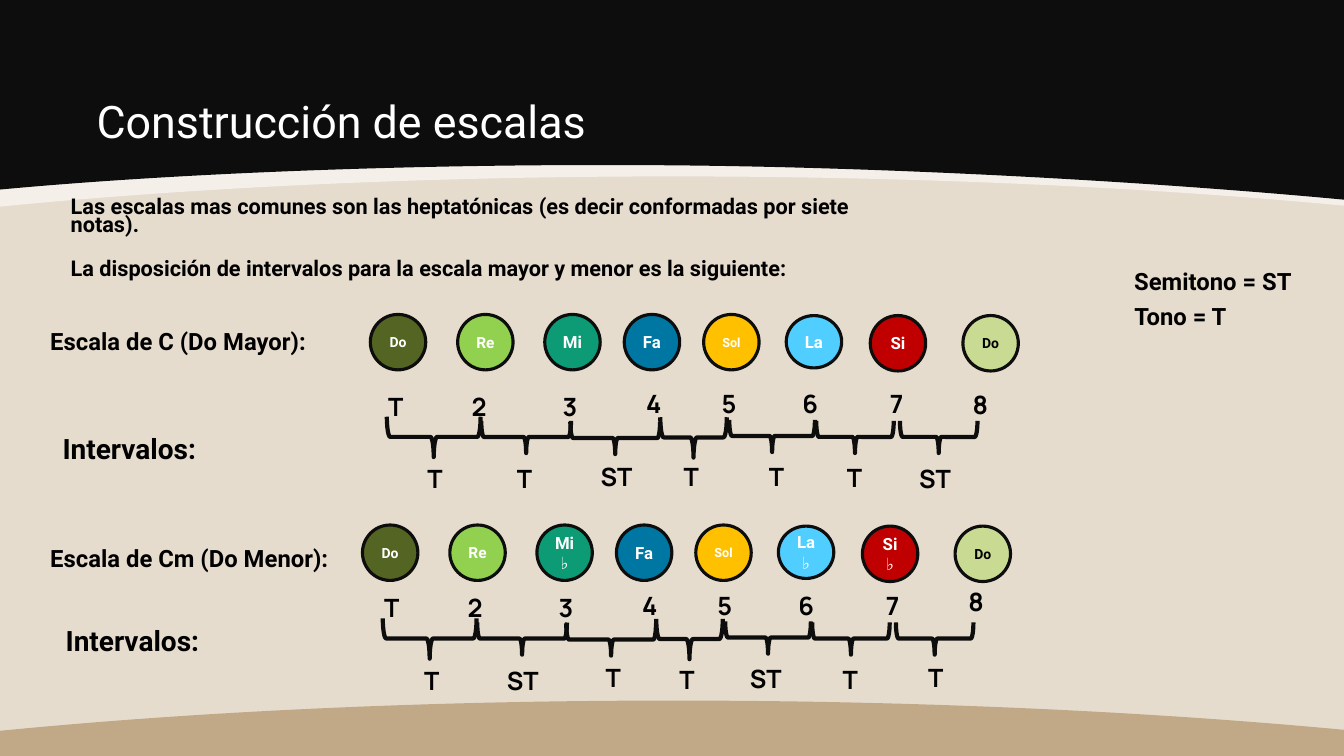
from pptx import Presentation
from pptx import util as u
from pptx.dml.color import RGBColor
from pptx.enum import shapes, text
from pptx.oxml.ns import qn
from lxml import etree

Pt = u.Pt
BLACK = RGBColor(0x00, 0x00, 0x00)
WHITE = RGBColor(0xFF, 0xFF, 0xFF)
INK = RGBColor(0x0D, 0x0D, 0x0D)
SAND = RGBColor(0xE6, 0xDC, 0xCE)
CREAM = RGBColor(0xFA, 0xF8, 0xF5)
TAN = RGBColor(0xC1, 0xA8, 0x86)
OLIVE = RGBColor(0x54, 0x64, 0x22)
LIME = RGBColor(0x92, 0xD0, 0x50)
TEAL = RGBColor(0x0C, 0x9B, 0x74)
BLUE = RGBColor(0x00, 0x76, 0xA3)
AMBER = RGBColor(0xFF, 0xC0, 0x00)
SKY = RGBColor(0x4F, 0xCE, 0xFF)
RED = RGBColor(0xC0, 0x00, 0x00)
PALE = RGBColor(0xC9, 0xDA, 0x92)

prs = Presentation()
prs.slide_width, prs.slide_height = Pt(960), Pt(540)
s = prs.slides.add_slide(prs.slide_layouts[6])
s.background.fill.solid()
s.background.fill.fore_color.rgb = SAND


def write(p, words, size, color=BLACK, font="Roboto", bold=True):
    r = p.add_run()
    r.text = words
    r.font.size, r.font.name, r.font.bold = Pt(size), font, bold
    r.font.color.rgb = color


def add_text(x, y, w, h, lines, size, spacing=None, before=None, **style):
    tf = s.shapes.add_textbox(Pt(x), Pt(y), Pt(w), Pt(h)).text_frame
    tf.word_wrap = True
    for i, words in enumerate(lines):
        p = tf.paragraphs[0] if i == 0 else tf.add_paragraph()
        p.line_spacing = spacing
        if before:
            p.space_before = Pt(before)
        write(p, words, size, **style)
    return tf


bands = [
    (CREAM, 70, 0, [(0, 147.6), (139.7, 133.9), (304.6, 126), (481, 126),
                    (656.6, 126), (820.8, 133.9), (960, 146.9)]),
    (INK, 100, 0, [(0, 135.4), (139.7, 122.4), (320.4, 116.6), (481, 118.1),
                   (640.1, 119.5), (820.8, 129.6), (960, 142.6)]),
    (TAN, 100, 540, [(0, 522), (139.7, 508.3), (304.6, 500.4), (481, 500.4),
                     (656.6, 500.4), (820.8, 508.3), (960, 521.3)]),
]
for color, opacity, edge, curve in bands:
    points = [(Pt(x), Pt(y)) for x, y in curve + [(960, edge), (0, edge)]]
    fb = s.shapes.build_freeform(*points[0], scale=1.0)
    fb.add_line_segments(points[1:])
    sp = fb.convert_to_shape()
    lines = list(sp._element.iter(qn("a:lnTo")))
    for first in (0, 3):
        bezier = etree.Element(qn("a:cubicBezTo"))
        lines[first].addprevious(bezier)
        for line in lines[first:first + 3]:
            bezier.append(line[0])
            line.getparent().remove(line)
    sp.shadow.inherit = False
    sp.line.fill.background()
    sp.fill.solid()
    sp.fill.fore_color.rgb = color
    if opacity < 100:
        clr = sp.fill._xPr.find(qn("a:solidFill"))[0]
        etree.SubElement(clr, qn("a:alpha")).set("val", str(opacity * 1000))

tf = add_text(61.92, 23.04, 720, 86.4, ["Construcción de escalas"], 32, 0.9,
              color=WHITE, bold=False)
tf.vertical_anchor = text.MSO_ANCHOR.BOTTOM

add_text(43.4, 139.4, 577.4, 66.2, [
    "Las escalas mas comunes son las heptatónicas (es decir conformadas por siete notas).",
    "La disposición de intervalos para la escala mayor y menor es la siguiente:",
], 15.5, 0.7, 18)

captions = [
    ("Escala de C (Do Mayor):", 28.8, 234, 218.9, 17, 0.8),
    ("Escala de Cm (Do Menor):", 28.8, 388.8, 218.9, 17, 0.8),
    ("Semitono = ST", 803.1, 190.8, 141.8, 17, 0.8),
    ("Tono = T", 803.1, 216, 85, 17, 0.8),
    ("Intervalos:", 37.6, 307.4, 184.3, 20, 0.9),
    ("Intervalos:", 39.8, 444.2, 184.3, 20, 0.9),
]
for words, x, y, w, size, spacing in captions:
    add_text(x, y, w, 37.4, [words], size, spacing, 18)

notes = [
    (264.5, 224.6, 39.6, OLIVE, WHITE, 10), (326.9, 224.6, 39.6, LIME, WHITE, 11),
    (389.1, 224.6, 39.6, TEAL, WHITE, 12), (445.9, 224.6, 39.6, BLUE, WHITE, 12),
    (502.6, 224.6, 39.6, AMBER, WHITE, 9), (561.6, 225.4, 37.4, SKY, WHITE, 12),
    (621.6, 225.4, 39.6, RED, WHITE, 12), (687.8, 225.4, 39.6, PALE, BLACK, 10),
]
degrees = [("T", 270.2, 275.8), ("2", 329.8, 275.8), ("3", 394.8, 275.8),
           ("4", 454.5, 273.8), ("5", 508.3, 273.8), ("6", 566.1, 273.8),
           ("7", 628.6, 273.8)]
braces = [(295.4, 278.6, 28.8, 67), (364.3, 280.1, 23, 64.1), (427.9, 280.8, 23, 64.1),
          (481, 288.7, 28.8, 47.5), (540, 280.8, 23, 61.2), (599.2, 284.4, 23, 55.4),
          (659, 284.4, 23, 55.4)]
scales = [
    (0, 0, 0, 0, ["Do", "Re", "Mi", "Fa", "Sol", "La", "Si", "Do"], ("8", 687.6, 274.8),
     [("T", 298.3, 327.6), ("T", 362.2, 327.6), ("ST", 421.9, 326.2), ("T", 481.2, 326.2),
      ("T", 542.2, 326.2), ("T", 597.8, 326.7), ("ST", 649.4, 327.6)]),
    (-5.6, 150.4, -2.9, 144, ["Do", "Re", "Mi♭", "Fa", "Sol", "La♭", "Si ♭", "Do"],
     ("8", 687.6, 271.6),
     [("T", 295.9, 471.6), ("ST", 355, 471.6), ("T", 425.5, 469.4), ("T", 478.3, 470.7),
      ("ST", 528.5, 470.2), ("T", 594.9, 470.9), ("T", 655.9, 469.4)]),
]
for note_dx, note_dy, dx, dy, names, octave, intervals in scales:
    for name, (x, y, h, fill, color, size) in zip(names, notes):
        sp = s.shapes.add_shape(shapes.MSO_SHAPE.FLOWCHART_CONNECTOR,
                                Pt(x + note_dx), Pt(y + note_dy), Pt(39.6), Pt(h))
        sp.shadow.inherit = False
        sp.fill.solid()
        sp.fill.fore_color.rgb = fill
        sp.line.color.rgb = INK
        sp.line.width = Pt(2.25)
        tf = sp.text_frame
        tf.word_wrap = True
        tf.vertical_anchor = text.MSO_ANCHOR.MIDDLE
        p = tf.paragraphs[0]
        p.alignment = text.PP_ALIGN.CENTER
        write(p, name, size, color)
    for x, y, w, h in braces:
        sp = s.shapes.add_shape(shapes.MSO_SHAPE.RIGHT_BRACE,
                                Pt(x + dx), Pt(y + dy), Pt(w), Pt(h))
        sp.rotation = 90
        sp.shadow.inherit = False
        sp.fill.background()
        sp.line.color.rgb = INK
        sp.line.width = Pt(3)
    labels = [(words, x + dx, y + dy) for words, x, y in degrees + [octave]]
    for words, x, y in labels + intervals:
        w = 43.2 if words == "ST" else 33.8
        add_text(x, y, w, 28.8, [words], 18, font="Manrope")

prs.save("out.pptx")
